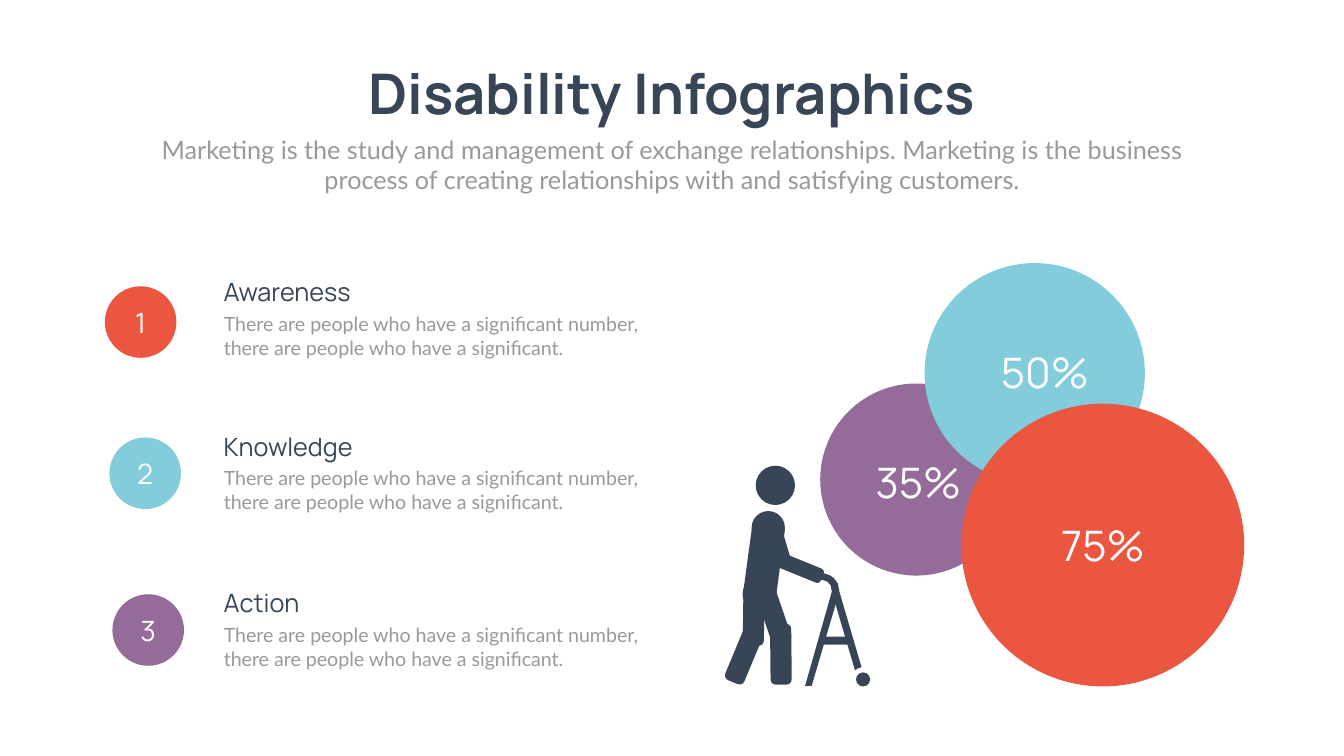
from dataclasses import dataclass

from pptx import Presentation
from pptx.dml.color import RGBColor
from pptx.enum.shapes import MSO_SHAPE
from pptx.enum.text import MSO_ANCHOR, MSO_AUTO_SIZE, PP_ALIGN
from pptx.util import Inches, Pt

OVAL, BAR, LIMB = MSO_SHAPE.OVAL, MSO_SHAPE.RECTANGLE, MSO_SHAPE.ROUNDED_RECTANGLE
LEFT, CENTER = PP_ALIGN.LEFT, PP_ALIGN.CENTER
MIDDLE, TOP = MSO_ANCHOR.MIDDLE, MSO_ANCHOR.TOP
GROW = MSO_AUTO_SIZE.SHAPE_TO_FIT_TEXT


@dataclass(frozen=True)
class Theme:
    """Colours, fonts and type sizes of the slide."""
    paper: str = "FEFFFE"
    white: str = "FFFFFF"
    navy: str = "374556"
    grey: str = "999999"
    red: str = "EB5640"
    blue: str = "82CCDB"
    purple: str = "956B9A"
    heading: str = "Manrope"
    body: str = "Lato"
    title_size: int = 80
    percent_size: int = 60
    number_size: int = 40
    lead_size: int = 36
    detail_size: int = 28


THEME = Theme()
DETAIL = "There are people who have a significant number, there are people who have a significant."
STEPS = [
    ("Awareness", THEME.red, 5.44, (2.08, 5.68)),
    ("Knowledge", THEME.blue, 8.5, (2.17, 8.68)),
    ("Action", THEME.purple, 11.61, (2.23, 11.79)),
]
BUBBLES = [
    ("35%", THEME.purple, (0, 2.39, 3.81), (0.46, 3.78)),
    ("50%", THEME.blue, (2.07, 0, 4.37), (2.97, 1.6)),
    ("75%", THEME.red, (2.8, 2.79, 5.61), (4.12, 5.03)),
]
DISCS = [(0.61, 0, 0.78), (0.35, 2.22, 0.66), (0.53, 0.9, 0.66), (2.6, 4.1, 0.28)]
LIMBS = [
    ((1.49, 2.03), (0.3, 0.95), -67.8, 0.25),
    ((1.06, 1.55), (0.3, 0.96), -16.6, 0.5),
    ((0.38, 3.76), (0.41, 1.16), 22.6, 0.25),
    ((0.57, 2.97), (0.42, 1.21), 0.8, 0.25),
    ((0.96, 2.96), (0.41, 1.17), -19, 0.25),
    ((1.11, 3.74), (0.42, 1.21), -0.6, 0.25),
]
TORSO = [(0.36, 2.53), (0.54, 1.2), (1.19, 1.27), (1.01, 2.63), (0.93, 2.66), (0.41, 2.59)]
WALKER_FRONT = [
    (1.82, 2.12), (1.98, 2.14), (2.09, 2.18), (2.16, 2.23), (2.24, 2.34), (2.27, 2.5),
    (2.71, 4), (2.64, 4.02), (2.58, 4.06), (2.12, 2.5), (2.1, 2.38), (2.03, 2.3),
    (1.95, 2.27), (1.82, 2.26),
]
WALKER_BACK = [(2.12, 2.5), (1.59, 4.37), (1.72, 4.37), (2.27, 2.5)]


def write(frame, text, size, font, color, align=LEFT, anchor=TOP):
    """Put one formatted paragraph into a text frame."""
    frame.vertical_anchor = anchor
    line = frame.paragraphs[0]
    line.alignment = align
    run = line.add_run()
    run.text = text
    formats = {"size": Pt(size), "name": font, "bold": size == THEME.title_size}
    for attribute, value in formats.items():
        setattr(run.font, attribute, value)
    run.font.color.rgb = RGBColor.from_string(color)


def add_text(slide, box, text, size, font, color, align=LEFT, wrap=True):
    """Add a growing text box at the given box in inches."""
    frame = slide.shapes.add_textbox(*map(Inches, box)).text_frame
    frame.word_wrap = wrap
    frame.auto_size = GROW
    write(frame, text, size, font, color, align)


def paint(shape, color):
    """Give a shape a flat fill without line or shadow."""
    shape.shadow.inherit = False
    shape.fill.solid()
    shape.fill.fore_color.rgb = RGBColor.from_string(color)
    shape.line.fill.background()
    return shape


def add_preset(slide, preset, box, color):
    """Add a flat preset shape at the given box in inches."""
    return paint(slide.shapes.add_shape(preset, *map(Inches, box)), color)


def add_outline(slide, left, top, points, color):
    """Add a flat closed outline with points relative to left and top."""
    corners = [(Inches(left + x), Inches(top + y)) for x, y in points]
    builder = slide.shapes.build_freeform(*corners[0])
    builder.add_line_segments(corners[1:], close=True)
    paint(builder.convert_to_shape(), color)


def add_header(slide, left, top, width):
    """Place the title and the introduction below it."""
    title_width = 13.24
    add_text(slide, (left + (width - title_width) / 2, top, title_width, 1.45),
             "Disability Infographics", THEME.title_size, THEME.heading, THEME.navy,
             CENTER, wrap=False)
    add_text(slide, (left, top + 1.49, width, 1.31),
             "Marketing is the study and management of exchange relationships. "
             "Marketing is the business process of creating relationships with "
             "and satisfying customers.",
             THEME.lead_size, THEME.body, THEME.grey, CENTER)


def add_step(slide, left, top, number, heading, color, badge_at):
    """Place a numbered badge with its heading and detail."""
    badge = add_preset(slide, OVAL, (*badge_at, 1.42, 1.42), color)
    write(badge.text_frame, str(number), THEME.number_size, THEME.heading,
          THEME.white, CENTER, MIDDLE)
    add_text(slide, (left, top, 3.04, 0.71), heading,
             THEME.lead_size, THEME.heading, THEME.navy)
    add_text(slide, (left, top + 0.7, 8.55, 1.04), DETAIL,
             THEME.detail_size, THEME.body, THEME.grey)


def add_bubbles(slide, left, top):
    """Place the overlapping circles and then their percentages."""
    for _, color, (x, y, diameter), _ in BUBBLES:
        add_preset(slide, OVAL, (left + x, top + y, diameter, diameter), color)
    for percent, _, _, (x, y) in BUBBLES:
        add_text(slide, (left + x, top + y, 2.97, 1.11), percent,
                 THEME.percent_size, THEME.heading, THEME.white, CENTER)


def add_person(slide, left, top):
    """Place the figure leaning on a walking frame."""
    for x, y, diameter in DISCS:
        add_preset(slide, OVAL, (left + x, top + y, diameter, diameter), THEME.navy)
    for (x, y), (thickness, length), angle, roundness in LIMBS:
        box = (left + x - thickness / 2, top + y - length / 2, thickness, length)
        limb = add_preset(slide, LIMB, box, THEME.navy)
        limb.adjustments[0] = roundness
        limb.rotation = angle
    for outline in (TORSO, WALKER_FRONT, WALKER_BACK):
        add_outline(slide, left, top, outline, THEME.navy)
    add_preset(slide, BAR, (left + 1.9, top + 3.39, 0.57, 0.16), THEME.navy)


def main():
    """Build the slide and save it."""
    deck = Presentation()
    deck.slide_width, deck.slide_height = Inches(26.66), Inches(15)
    slide = deck.slides.add_slide(deck.slide_layouts[6])
    slide.background.fill.solid()
    slide.background.fill.fore_color.rgb = RGBColor.from_string(THEME.paper)
    add_header(slide, 2.92, 1.12, 20.82)
    add_bubbles(slide, 16.27, 5.22)
    add_person(slide, 14.38, 9.24)
    for number, (heading, color, top, badge_at) in enumerate(STEPS, 1):
        add_step(slide, 4.34, top, number, heading, color, badge_at)
    deck.save("out.pptx")


if __name__ == "__main__":
    main()
